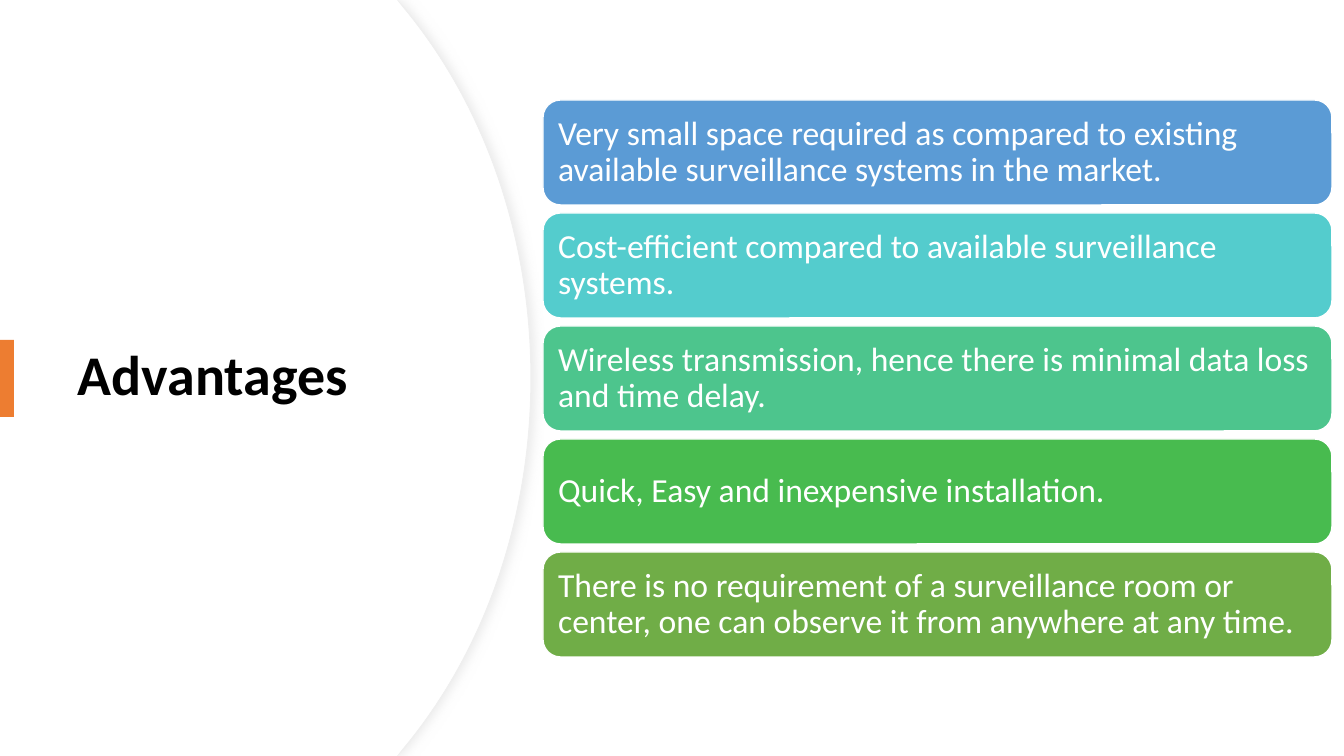
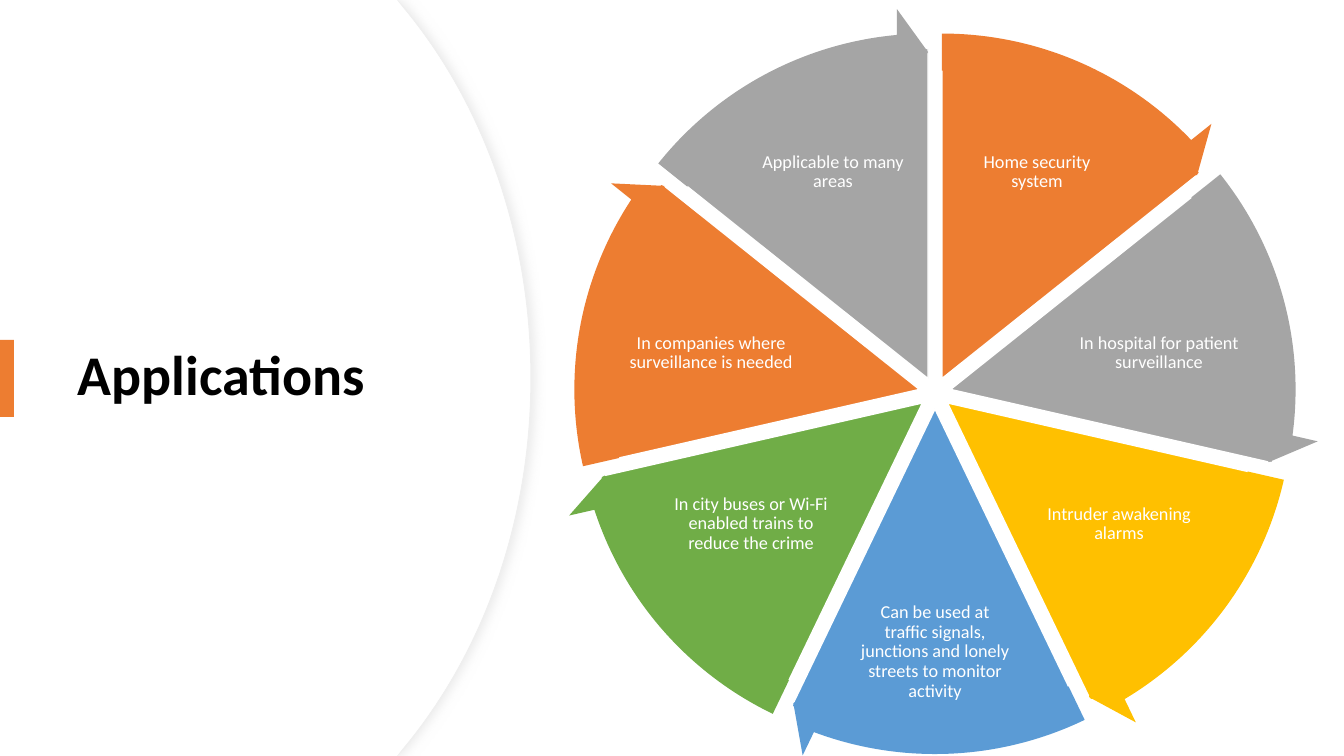
from math import cos, radians, sin

from lxml.etree import SubElement
from pptx import Presentation
from pptx.dml.color import RGBColor
from pptx.enum.shapes import MSO_SHAPE as Shape
from pptx.enum.text import MSO_ANCHOR as Anchor, MSO_AUTO_SIZE as AutoSize, PP_ALIGN as Align
from pptx.oxml.ns import qn
from pptx.util import Emu, Pt

EMU_PER_PX = 914400 / 100.8
SLIDE_WIDTH, SLIDE_HEIGHT = 1344, 756
FONT = "Calibri"
WHITE, BLACK, ORANGE, GRAY = "FFFFFF", "000000", "ED7D31", "A5A5A5"
BLUE, GREEN, GOLD = "5B9BD5", "70AD47", "FFC000"
PANEL_EDGE, PANEL_SHADOW = "EFEFEF", "D9D9D9"
DEGREE = 0.6
FULL_TURN = 360 * DEGREE

ADVANTAGES = [
    ("Very small space required as compared to existing available surveillance systems in the market.", BLUE),
    ("Cost-efficient compared to available surveillance systems.", "54CCCD"),
    ("Wireless transmission, hence there is minimal data loss and time delay.", "4DC58D"),
    ("Quick, Easy and inexpensive installation.", "48BB4F"),
    ("There is no requirement of a surveillance room or center, one can observe it from anywhere at any time.", GREEN),
]
APPLICATIONS = [
    ("Home security system", ORANGE),
    ("In hospital for patient surveillance", GRAY),
    ("Intruder awakening alarms", GOLD),
    ("Can be used at traffic signals, junctions and lonely streets to monitor activity", BLUE),
    ("In city buses or Wi-Fi enabled trains to reduce the crime", GREEN),
    ("In companies where surveillance is needed", ORANGE),
    ("Applicable to many areas", GRAY),
]
LABEL_BOXES = [(102, 109, 158, 126), (224, 298, 180, 110), (184, 463, 158, 122), (0, 597, 153, 110)]


def px(length):
    """Turn pixels into EMU."""
    return Emu(round(length * EMU_PER_PX))


def color(hex_string):
    """Turn a hex string into a colour."""
    return RGBColor.from_string(hex_string)


def paint(shape, fill, line=None, line_width=1):
    """Give a shape a flat fill and an optional outline."""
    shape.shadow.inherit = False
    shape.fill.solid()
    shape.fill.fore_color.rgb = color(fill)
    if line:
        shape.line.color.rgb = color(line)
        shape.line.width = Pt(line_width)
    else:
        shape.line.fill.background()


def write(shape, text, size, hex_color, inset, align=Align.LEFT, bold=False):
    """Write one formatted, vertically centred paragraph into a shape."""
    frame = shape.text_frame
    frame.word_wrap = True
    frame.auto_size = AutoSize.NONE
    frame.vertical_anchor = Anchor.MIDDLE
    frame.margin_left = frame.margin_right = px(inset)
    frame.margin_top = frame.margin_bottom = px(inset)
    paragraph = frame.paragraphs[0]
    paragraph.alignment = align
    paragraph.line_spacing = 0.9
    run = paragraph.add_run()
    run.text = text
    run.font.name = FONT
    run.font.size = Pt(size)
    run.font.bold = bold
    run.font.color.rgb = color(hex_color)


def add_block(slide, preset, box, fill, line=None):
    """Add a painted preset shape at a pixel box."""
    shape = slide.shapes.add_shape(preset, *map(px, box))
    paint(shape, fill, line)
    return shape


def add_shadow(shape, hex_color):
    """Add a soft, half transparent shadow to the right of a shape."""
    effects = shape.element.spPr.find(qn("a:effectLst"))
    shadow = SubElement(effects, qn("a:outerShdw"), blurRad=str(Pt(7)), dist=str(Pt(3)),
                        dir="0", algn="l", rotWithShape="0")
    shade = SubElement(shadow, qn("a:srgbClr"), val=hex_color)
    SubElement(shade, qn("a:alpha"), val="50000")


def bend(segments):
    """Merge three straight path segments into one cubic curve."""
    first = segments[0]
    curve = first.makeelement(qn("a:cubicBezTo"))
    first.addprevious(curve)
    for segment in segments:
        curve.append(segment[0])
        segment.getparent().remove(segment)


def add_panel(slide, right):
    """Add the white panel whose right side bulges out to the given position."""
    upper = [(397, 0), (right - 127, 8), (right - 48, 103), (right, 234), (right, SLIDE_HEIGHT / 2)]
    lower = [(x, SLIDE_HEIGHT - y) for x, y in reversed(upper)]
    outline = upper + lower[1:] + [(0, SLIDE_HEIGHT)]
    builder = slide.shapes.build_freeform(0, 0)
    builder.add_line_segments([(px(x), px(y)) for x, y in outline], close=True)
    panel = builder.convert_to_shape()
    segments = list(panel.element.iter(qn("a:lnTo")))
    bend(segments[2:5])
    bend(segments[5:8])
    return panel


def add_titled_slide(presentation, text):
    """Add a slide with the curved panel, the title and the accent bar."""
    slide = presentation.slides.add_slide(presentation.slide_layouts[5])
    edge = add_panel(slide, 531)
    paint(edge, WHITE, PANEL_EDGE, 0.75)
    add_shadow(edge, PANEL_SHADOW)
    paint(add_panel(slide, 530), WHITE)
    title = slide.shapes.title
    title.left, title.top, title.width, title.height = map(px, (68, 128, 397, 499))
    write(title, text, 40, BLACK, 10, bold=True)
    slide.shapes.element.append(title.element)
    add_block(slide, Shape.RECTANGLE, (0, 340, 14, 77), ORANGE)
    return slide


def add_bars(slide, items):
    """Stack rounded bars, one for each item."""
    for index, (text, fill) in enumerate(items):
        box = (543, 100 + 113 * index, 789, 105)
        bar = add_block(slide, Shape.ROUNDED_RECTANGLE, box, fill, WHITE)
        write(bar, text, 24, WHITE, 10)


def add_ring_part(slide, preset, center, size, fill, adjustments, line=None):
    """Add a round preset shape about a centre, with its adjustments."""
    box = (center[0] - size / 2, center[1] - size / 2, size, size)
    shape = add_block(slide, preset, box, fill, line)
    for index, value in enumerate(adjustments):
        shape.adjustments[index] = value


def add_label(slide, text, box):
    """Add a centred label."""
    label = slide.shapes.add_textbox(*map(px, box))
    write(label, text, 13, WHITE, 1, Align.CENTER)


def add_wheel(slide, items):
    """Draw a wheel of separated slices, each with a label and an arrow rim."""
    center_x, center_y, gap = 935, 393, 16
    sweep = 360 / len(items)
    mirrored = [(-dx, *rest) for dx, *rest in reversed(LABEL_BOXES[:-1])]
    arrows = []
    for index, ((text, fill), label_box) in enumerate(zip(items, LABEL_BOXES + mirrored)):
        start = 270 + sweep * index
        middle = radians(start + sweep / 2)
        center = (center_x + gap * cos(middle), center_y + gap * sin(middle))
        begin, end = start * DEGREE % FULL_TURN, (start + sweep) * DEGREE % FULL_TURN
        add_ring_part(slide, Shape.PIE, center, 660, fill, (begin, end), WHITE)
        dx, top, width, height = label_box
        add_label(slide, text, (center_x + dx - width / 2, top, width, height))
        arrows.append((center, 742, fill, (0.05, 3.28, end - 3.28, begin, 0.06)))
    for arrow in arrows:
        add_ring_part(slide, Shape.CIRCULAR_ARROW, *arrow)


def main():
    """Build and save the presentation."""
    presentation = Presentation()
    presentation.slide_width, presentation.slide_height = px(SLIDE_WIDTH), px(SLIDE_HEIGHT)
    add_bars(add_titled_slide(presentation, "Advantages"), ADVANTAGES)
    add_wheel(add_titled_slide(presentation, "Applications"), APPLICATIONS)
    presentation.save("out.pptx")


if __name__ == "__main__":
    main()
